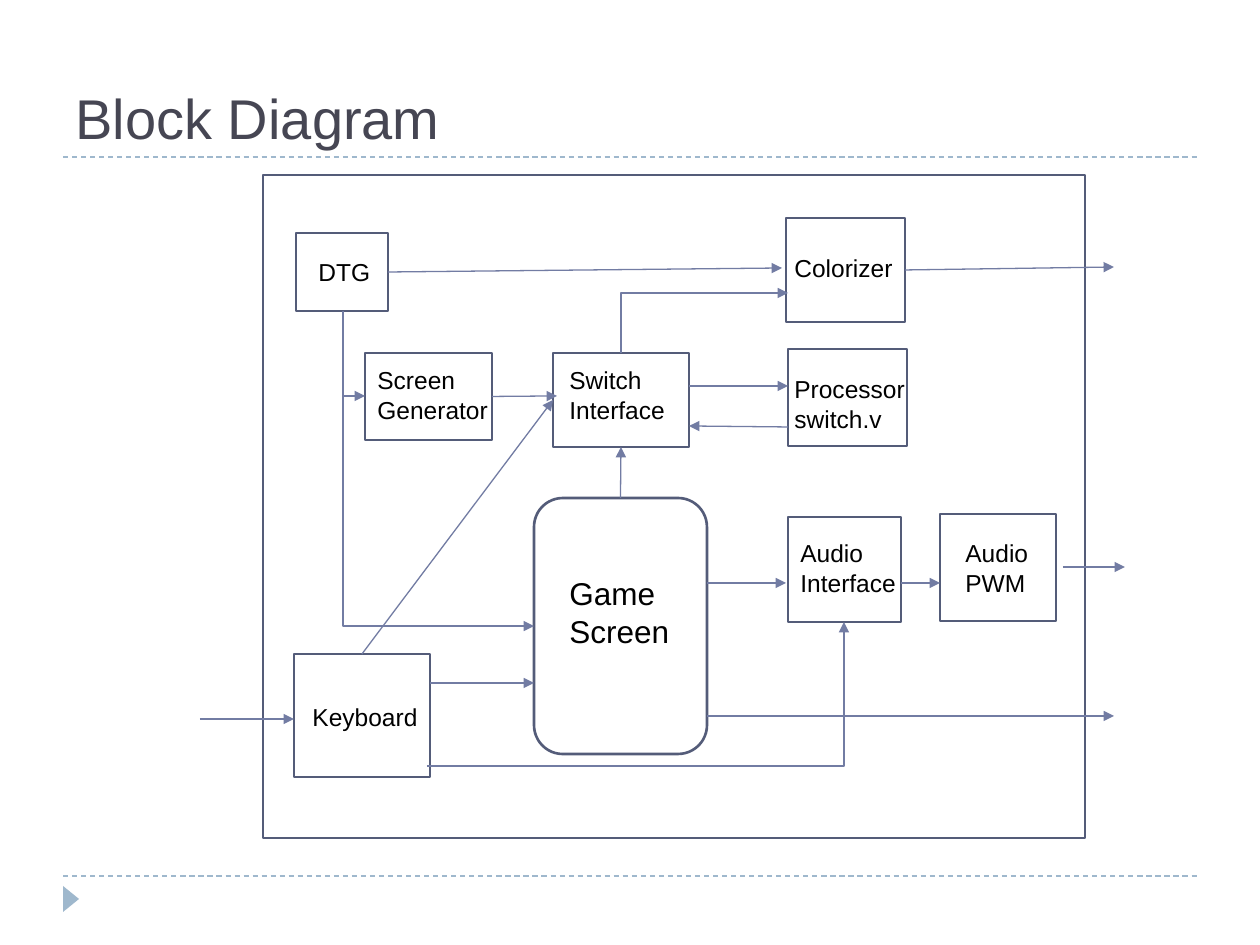
from pptx import Presentation
from pptx import util as u
from pptx.dml.color import RGBColor
from pptx.enum import dml, shapes, text
from pptx.oxml.ns import qn
from lxml import etree

SCALE = u.Inches(1) / 126
FONT = "Arial"
BLACK = RGBColor(0x00, 0x00, 0x00)
WHITE = RGBColor(0xFF, 0xFF, 0xFF)
SLATE = RGBColor(0x46, 0x46, 0x53)
BORDER = RGBColor(0x54, 0x5C, 0x79)
ARROW = RGBColor(0x72, 0x7C, 0xA3)
PALE = RGBColor(0x9F, 0xB8, 0xCD)
TOP, LEFT, BOTTOM, RIGHT = range(4)

RECT = shapes.MSO_SHAPE.RECTANGLE
ROUND = shapes.MSO_SHAPE.ROUNDED_RECTANGLE

BLOCKS = {
    "dtg": (296, 233, 92, 78),
    "keyboard": (294, 654, 136, 123),
    "screen": (365, 353, 127, 87),
    "colorizer": (786, 218, 119, 104),
    "processor": (788, 349, 119, 97),
    "switch": (553, 353, 136, 94),
    "audio": (788, 517, 113, 105),
    "pwm": (940, 514, 116, 107),
}

LABELS = [
    ("DTG", (306, 251, 100, 43), 14),
    ("Keyboard", (300, 696, 130, 43), 14),
    ("Screen Generator", (365, 359, 186, 72), 14),
    ("Game Screen", (557, 568, 139, 89), 18),
    ("Colorizer", (782, 247, 161, 43), 14),
    ("Processor switch.v", (782, 368, 192, 72), 14),
    ("Switch Interface", (557, 359, 161, 72), 14),
    ("Audio\nInterface", (788, 532, 149, 72), 14),
    ("Audio\nPWM", (953, 532, 110, 72), 14),
]

FREE_ARROWS = [
    ((689, 386), (788, 386)),
    ((788, 427), (689, 426)),
    ((707, 716), (1114, 716)),
    ((430, 683), (534, 683)),
    ((707, 583), (786, 583)),
    ((901, 583), (940, 583)),
    ((1063, 567), (1125, 567)),
    ((200, 719), (294, 719)),
]

DOWN_OR_UP_FIRST = [
    ((343, 311), (365, 396)),
    ((343, 396), (534, 626)),
    ((621, 353), (788, 293)),
]


def px(*lengths):
    return [u.Emu(round(length * SCALE)) for length in lengths]


def write(frame, words, size=14, color=BLACK):
    frame.word_wrap = True
    for index, line in enumerate(words.split("\n")):
        para = frame.paragraphs[0] if index == 0 else frame.add_paragraph()
        para.alignment = text.PP_ALIGN.LEFT
        span = para.add_run()
        span.text = line
        span.font.name = FONT
        span.font.size = u.Pt(size)
        span.font.color.rgb = color


def add_title(page, words):
    title = page.shapes.title
    title.left, title.top, title.width, title.height = px(63, 21, 1134, 136)
    title.text_frame.vertical_anchor = text.MSO_ANCHOR.BOTTOM
    write(title.text_frame, words, size=32, color=SLATE)


def add_label(page, words, place, size):
    box = page.shapes.add_textbox(*px(*place))
    write(box.text_frame, words, size=size)
    box.text_frame.auto_size = text.MSO_AUTO_SIZE.SHAPE_TO_FIT_TEXT


def add_block(page, place, kind=RECT, fill=None, line=BORDER):
    block = page.shapes.add_shape(kind, *px(*place))
    block.shadow.inherit = False
    if fill is None:
        block.fill.background()
    else:
        block.fill.solid()
        block.fill.fore_color.rgb = fill
    if line is None:
        block.line.fill.background()
    else:
        block.line.color.rgb = line
        block.line.width = u.Pt(1.5)
    return block


def add_line(page, start, end, color=ARROW, kind=shapes.MSO_CONNECTOR.STRAIGHT):
    line = page.shapes.add_connector(kind, *px(*start, *end))
    line.line.color.rgb = color
    line.line.width = u.Pt(0.75)
    etree.SubElement(line._element.spPr, qn("a:effectLst"))
    return line


def add_rule(page, y):
    rule = add_line(page, (63, y), (1197, y), color=PALE)
    rule.line.dash_style = dml.MSO_LINE.DASH


def add_arrow(page, start, end, **options):
    arrow = add_line(page, start, end, **options)
    etree.SubElement(arrow.line._get_or_add_ln(), qn("a:tailEnd"), type="triangle")
    return arrow


def add_joined_arrow(page, source, side, end=(0, 0), target=None, target_side=LEFT):
    arrow = add_arrow(page, (0, 0), end)
    arrow.begin_connect(source, side)
    if target is not None:
        arrow.end_connect(target, target_side)


def add_bent_arrow(page, start, end, vertical_first=False):
    if vertical_first:
        (x1, y1), (x2, y2) = start, end
        middle_x, middle_y = (x1 + x2) / 2, (y1 + y2) / 2
        half_x, half_y = (x2 - x1) / 2, (y2 - y1) / 2
        start = (middle_x + half_y, middle_y - half_x)
        end = (middle_x - half_y, middle_y + half_x)
    arrow = add_arrow(page, start, end, kind=shapes.MSO_CONNECTOR.ELBOW)
    properties = arrow._element.spPr
    properties.find(qn("a:prstGeom")).set("prst", "bentConnector2")
    if vertical_first:
        properties.find(qn("a:xfrm")).set("rot", str(270 * 60000))


def main():
    deck = Presentation()
    deck.slide_width, deck.slide_height = u.Inches(10), u.Inches(7.5)
    page = deck.slides.add_slide(deck.slide_layouts[5])

    add_title(page, "Block Diagram")
    for y in (157, 876):
        add_rule(page, y)
    marker = add_block(page, (58, 891, 26, 16), fill=PALE, line=None,
                       kind=shapes.MSO_SHAPE.ISOSCELES_TRIANGLE)
    marker.rotation = 90

    add_block(page, (263, 175, 822, 663))
    blocks = {name: add_block(page, place, fill=WHITE) for name, place in BLOCKS.items()}
    game = add_block(page, (534, 498, 173, 256), kind=ROUND)
    for words, place, size in LABELS:
        add_label(page, words, place, size)

    add_joined_arrow(page, blocks["dtg"], RIGHT, end=(782, 268))
    add_joined_arrow(page, blocks["colorizer"], RIGHT, end=(1114, 267))
    add_joined_arrow(page, blocks["screen"], RIGHT, end=(557, 396))
    add_joined_arrow(page, game, TOP, target=blocks["switch"], target_side=BOTTOM)
    add_joined_arrow(page, blocks["keyboard"], TOP, target=blocks["switch"])
    for start, end in FREE_ARROWS:
        add_arrow(page, start, end)
    for start, end in DOWN_OR_UP_FIRST:
        add_bent_arrow(page, start, end, vertical_first=True)
    add_bent_arrow(page, (427, 766), (844, 622))

    deck.save("out.pptx")


if __name__ == "__main__":
    main()
